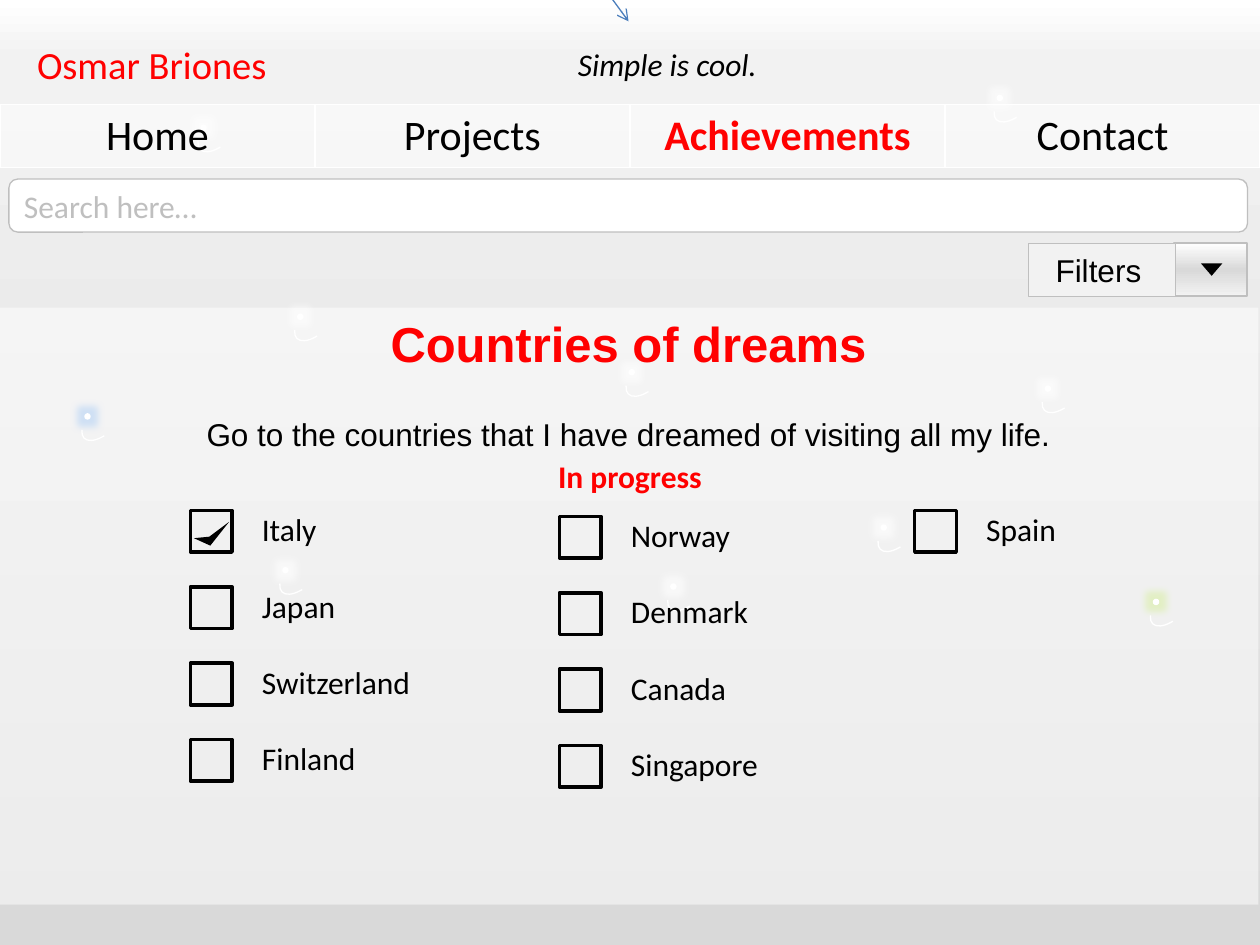
from lxml import etree
from pptx import Presentation
from pptx.dml.color import RGBColor
from pptx.enum import shapes, text
from pptx.oxml.ns import qn
from pptx.util import Cm, Pt

WHITE = RGBColor(0xFF, 0xFF, 0xFF)
PALE = RGBColor(0xF2, 0xF2, 0xF2)
SILVER = RGBColor(0xD9, 0xD9, 0xD9)
GREY = RGBColor(0xBF, 0xBF, 0xBF)
BLACK = RGBColor(0, 0, 0)
RED = RGBColor(0xFF, 0, 0)
ARROW_BLUE = RGBColor(0x4B, 0x7E, 0xBC)
GLOW_BLUE = RGBColor(0x6F, 0xA8, 0xEC)
GLOW_GREEN = RGBColor(0xB5, 0xE0, 0x50)

KIND = shapes.MSO_SHAPE
CENTER = text.PP_ALIGN.CENTER

SPARKLES = [(17.75, 10.57), (4.04, 2.51), (5.69, 11.43), (5.99, 6.32),
            (13.51, 11.76), (12.67, 7.44), (20.09, 1.91), (21.06, 7.77)]

# Left and top of the first box, then each country with its label width
COUNTRIES = [
    (3.84, 10.29, [("Italy", 1.63), ("Japan", 2.01),
                   ("Switzerland", 3.53), ("Finland", 2.41)]),
    (11.28, 10.41, [("Norway", 2.54), ("Denmark", 2.9),
                    ("Canada", 2.46), ("Singapore", 3.1)]),
    (18.44, 10.29, [("Spain", 1.93)]),
]
BOX_SIZE, BOX_STEP = 0.84, 1.54


def add_child(parent, tag, **attributes):
    return etree.SubElement(parent, qn(tag), attributes)


def set_alpha(fill_owner, percent):
    color = next(fill_owner.iter(qn("a:srgbClr")))
    add_child(color, "a:alpha", val=str(percent * 1000))


def set_gradient(fill, owner, stops):
    """Fill downwards with (percent, colour) stops."""
    fill.gradient()
    fill.gradient_angle = 270
    stop_list = next(owner.iter(qn("a:gsLst")))
    stop_list.clear()
    for percent, color in stops:
        stop = add_child(stop_list, "a:gs", pos=str(percent * 1000))
        add_child(stop, "a:srgbClr", val=str(color))


def style(shape, fill=None, line=None, weight=0.75):
    shape.shadow.inherit = False
    if fill is None:
        shape.fill.background()
    else:
        shape.fill.solid()
        shape.fill.fore_color.rgb = fill
    if line is None:
        shape.line.fill.background()
    else:
        shape.line.color.rgb = line
        shape.line.width = Pt(weight)
    return shape


def add_shape(slide, kind, left, top, width, height, **look):
    shape = slide.shapes.add_shape(
        kind, Cm(left), Cm(top), Cm(width), Cm(height))
    return style(shape, **look)


def write(paragraph, words, size=18, name="Calibri", color=BLACK,
          bold=False, italic=False, align=text.PP_ALIGN.LEFT):
    paragraph.text = words
    paragraph.alignment = align
    font = paragraph.font
    font.size, font.name, font.bold, font.italic = Pt(size), name, bold, italic
    font.color.rgb = color


def add_text(slide, words, left, top, width, height=1.02, wrap=False, **look):
    frame = slide.shapes.add_textbox(
        Cm(left), Cm(top), Cm(width), Cm(height)).text_frame
    frame.word_wrap = wrap
    write(frame.paragraphs[0], words, **look)
    return frame


def add_sparkle(slide, left, top, glow=WHITE):
    """A glowing dot with a short curved tail."""
    dot = add_shape(slide, KIND.OVAL, left, top, 0.13, 0.13, fill=WHITE)
    effects = dot._element.spPr.find(qn("a:effectLst"))
    halo = add_child(effects, "a:glow", rad=str(Cm(0.28)))
    color = add_child(halo, "a:srgbClr", val=str(glow))
    add_child(color, "a:alpha", val="60000")
    tail = add_shape(slide, KIND.ARC, left - 0.17, top - 0.18, 1.14, 0.56,
                     line=WHITE)
    tail.rotation = 315
    tail.adjustments[0], tail.adjustments[1] = 80.7, 118.28


def add_menu(slide, items, active):
    table = slide.shapes.add_table(
        1, len(items), Cm(0), Cm(2.11), Cm(25.4), Cm(1.27)).table
    for cell, item in zip(table.rows[0].cells, items):
        chosen = item == active
        cell.fill.solid()
        cell.fill.fore_color.rgb = WHITE
        set_alpha(cell._tc.tcPr, 50)
        write(cell.text_frame.paragraphs[0], item, size=24, align=CENTER,
              color=RED if chosen else BLACK, bold=chosen)


def add_search(slide):
    search = add_shape(slide, KIND.ROUNDED_RECTANGLE, 0.18, 3.61, 24.97, 1.07,
                       fill=WHITE, line=GREY)
    search.text_frame.vertical_anchor = text.MSO_ANCHOR.MIDDLE
    write(search.text_frame.paragraphs[0], "Search here…", color=GREY)


def add_goal(slide):
    panel = add_shape(slide, KIND.RECTANGLE, 0, 6.2, 25.37, 12.04, fill=WHITE)
    set_alpha(panel._element.spPr, 50)
    goal = add_text(slide, "Countries of dreams", -0.03, 6.2, 25.4, 9.91,
                    wrap=True, size=28, name="Arial", color=RED, bold=True,
                    align=CENTER)
    summary = goal.add_paragraph()
    write(summary,
          "Go to the countries that I have dreamed of visiting all my life.",
          name="Arial", align=CENTER)
    summary.space_before = Pt(24)


def add_checklist(slide):
    for left, first_top, countries in COUNTRIES:
        for row, (country, width) in enumerate(countries):
            top = first_top + row * BOX_STEP
            add_shape(slide, KIND.RECTANGLE, left, top, BOX_SIZE, BOX_SIZE,
                      line=BLACK, weight=2)
            add_text(slide, country, left + 1.19, top - 0.13, width)


def add_check_mark(slide):
    corners = [(Cm(x), Cm(y)) for x, y in
               [(4.22, 10.82), (3.91, 10.85), (4.24, 11), (4.62, 10.52)]]
    outline = slide.shapes.build_freeform(*corners[0])
    outline.add_line_segments(corners[1:], close=True)
    style(outline.convert_to_shape(), fill=BLACK)


def add_filters(slide):
    button = add_shape(slide, KIND.RECTANGLE, 23.67, 4.9, 1.47, 1.07,
                       line=GREY)
    set_gradient(button.fill, button._element.spPr,
                 [(0, WHITE), (50, SILVER), (100, PALE)])
    pointer = add_shape(slide, KIND.ISOSCELES_TRIANGLE, 24.21, 5.31,
                        0.43, 0.25, fill=BLACK)
    pointer.rotation = 180
    add_shape(slide, KIND.RECTANGLE, 20.73, 4.9, 2.97, 1.07,
              fill=PALE, line=GREY, weight=0.5)
    add_text(slide, "Filters", 21.03, 4.93, 2.39, 0.86, name="Arial")


def add_arrow(slide):
    arrow = slide.shapes.add_connector(
        shapes.MSO_CONNECTOR.STRAIGHT,
        Cm(11.28), Cm(-1.47), Cm(12.67), Cm(0.43))
    arrow.line.color.rgb = ARROW_BLUE
    arrow.line.width = Pt(0.75)
    add_child(arrow.line._get_or_add_ln(), "a:tailEnd", type="arrow")
    add_child(arrow._element.spPr, "a:effectLst")


def main():
    deck = Presentation()
    deck.slide_width, deck.slide_height = Cm(25.4), Cm(19.05)
    slide = deck.slides.add_slide(deck.slide_layouts[6])
    set_gradient(slide.background.fill, slide._element,
                 [(0, WHITE), (6, PALE), (100, SILVER)])

    add_text(slide, "Osmar Briones", 0, 0.71, 6.12, 1.19, wrap=True,
             size=22, color=RED, align=CENTER)
    for left, top in SPARKLES:
        add_sparkle(slide, left, top)
    add_menu(slide, ["Home", "Projects", "Achievements", "Contact"],
             active="Achievements")
    add_text(slide, "Simple is cool.", 11.4, 0.79, 4.22, italic=True)
    add_sparkle(slide, 1.7, 8.33, GLOW_BLUE)
    add_sparkle(slide, 23.24, 12.07, GLOW_GREEN)
    add_search(slide)
    add_goal(slide)
    add_checklist(slide)
    add_check_mark(slide)
    add_text(slide, "In progress", 11, 9.09, 3.43, color=RED, bold=True)
    add_filters(slide)
    add_arrow(slide)
    deck.save("out.pptx")


if __name__ == "__main__":
    main()
